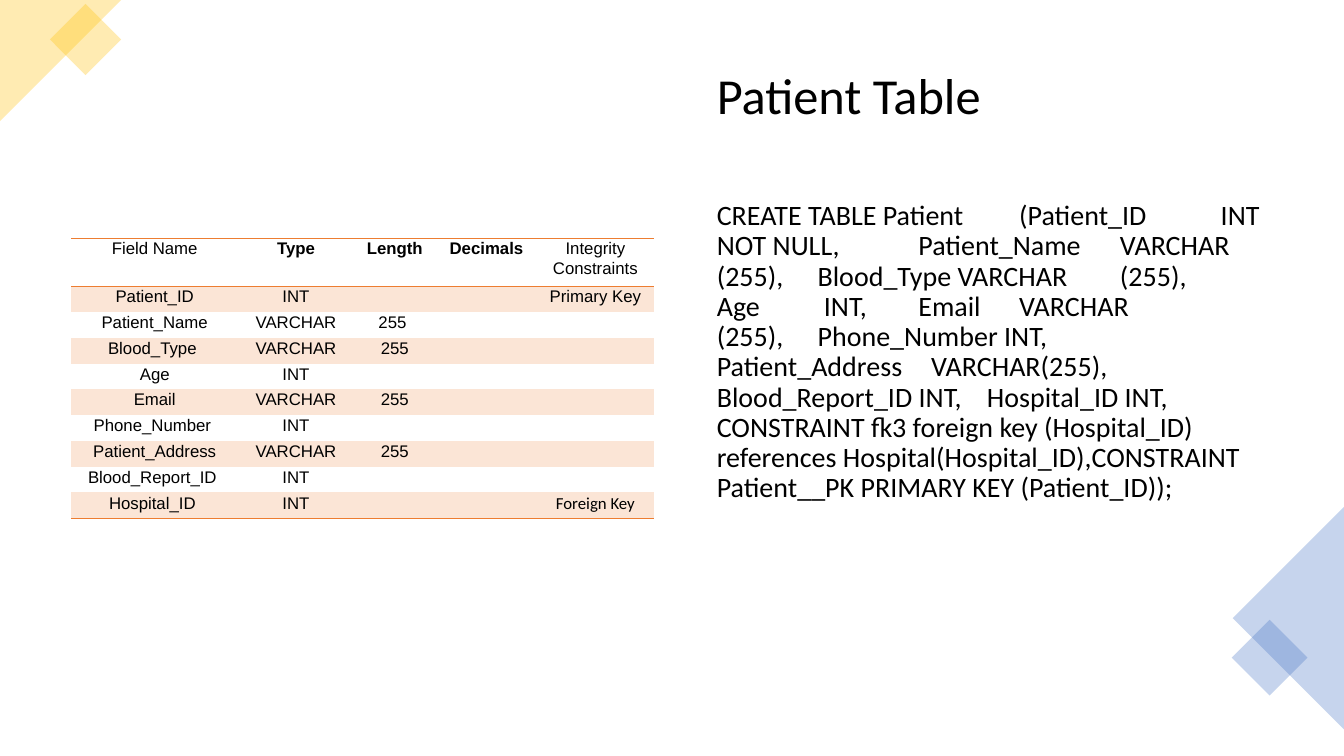
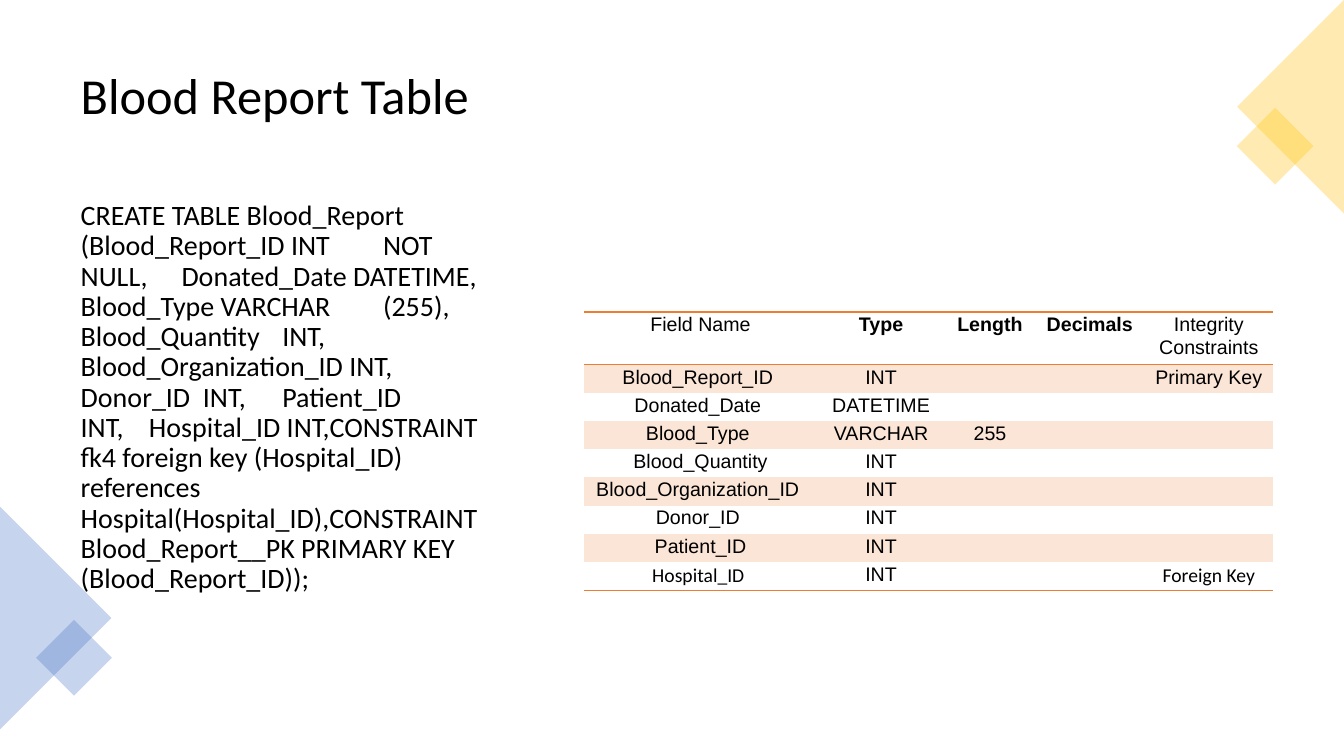
from dataclasses import dataclass

from lxml import etree
from pptx import Presentation
from pptx.dml.color import RGBColor
from pptx.enum.shapes import MSO_SHAPE
from pptx.enum.text import MSO_ANCHOR, MSO_AUTO_SIZE, PP_ALIGN
from pptx.oxml.ns import qn
from pptx.util import Cm, Pt

TRIANGLE, SQUARE = MSO_SHAPE.ISOSCELES_TRIANGLE, MSO_SHAPE.RECTANGLE
LEFT, CENTER = PP_ALIGN.LEFT, PP_ALIGN.CENTER
TOP, MIDDLE = MSO_ANCHOR.TOP, MSO_ANCHOR.MIDDLE
NO_FIT = MSO_AUTO_SIZE.NONE
NO_GRID_STYLE = "{2D5ABB26-0587-4C30-8999-92F81FD0307C}"
SLIDE_W, SLIDE_H = 33.87, 19.05
TAB_STEP = 2.54


@dataclass(frozen=True)
class Theme:
    text: str = "000000"
    yellow: str = "FFC000"
    blue: str = "4472C4"
    rule: str = "ED7D31"
    band: str = "FBE5D6"
    opacity: int = 30000
    font: str = "Calibri"
    table_font: str = "Arial"
    title_size: int = 36
    body_size: int = 20


THEME = Theme()

# Content: rows give field, type, length, decimals and constraint
HEADER = ("Field Name", "Type", "Length", "Decimals", "Integrity Constraints")
BOLD_HEADINGS = {"Type", "Length", "Decimals"}

SLIDES = [
    dict(
        title="Patient Table",
        title_box=(17.81, 0.89, 14.27, 3.15),
        sql="CREATE TABLE Patient\t(Patient_ID\tINT\tNOT NULL,\tPatient_Name\tVARCHAR\t(255),"
            "\tBlood_Type VARCHAR\t(255),\tAge\t INT,\tEmail\tVARCHAR\t(255),"
            "\tPhone_Number INT,\tPatient_Address\t  VARCHAR(255),     Blood_Report_ID INT,"
            "    Hospital_ID INT,    CONSTRAINT fk3 foreign key (Hospital_ID) references "
            "Hospital(Hospital_ID),CONSTRAINT Patient__PK PRIMARY KEY (Patient_ID));",
        sql_box=(17.81, 4.95, 14.27, 12.22),
        rows=[
            ("Patient_ID", "INT", "", "", "Primary Key"),
            ("Patient_Name", "VARCHAR", "255\u00a0", "", ""),
            ("Blood_Type ", "VARCHAR", "255", "", ""),
            ("Age", "INT", "", "", ""),
            ("Email", "VARCHAR", "255", "", ""),
            ("Phone_Number ", "INT", "", "", ""),
            ("Patient_Address", "VARCHAR", "255", "", ""),
            ("Blood_Report_ID ", "INT", "", "", ""),
            ("Hospital_ID ", "INT", "", "", "Foreign Key"),
        ],
        body_font_cells={"Foreign Key"},
        table_at=(1.79, 6),
        columns=(4.22, 2.9, 2.08, 2.54, 2.95),
        row_heights=(1.21, 0.65),
        cell_size=12,
        corner=(THEME.yellow, 3.05),
        pointers=[("right", THEME.blue, 12.77, 5.61)],
        squares=[(THEME.yellow, 1.52, 0.36, 1.27), (THEME.blue, 31.32, 15.9, 1.35)],
    ),
    dict(
        title="Blood Report Table",
        title_box=(1.78, 0.89, 30.3, 3.15),
        sql="CREATE TABLE Blood_Report\t(Blood_Report_ID INT\tNOT NULL,\tDonated_Date DATETIME,"
            "\tBlood_Type VARCHAR\t(255),\tBlood_Quantity\tINT,\tBlood_Organization_ID INT,"
            "\tDonor_ID  INT,\tPatient_ID\tINT,    Hospital_ID INT,CONSTRAINT fk4 foreign key "
            "(Hospital_ID) references Hospital(Hospital_ID),CONSTRAINT Blood_Report__PK "
            "PRIMARY KEY (Blood_Report_ID));",
        sql_box=(1.78, 4.95, 11.13, 12.07),
        rows=[
            ("Blood_Report_ID ", "INT", "", "", "Primary Key"),
            ("Donated_Date ", "DATETIME", "", "", ""),
            ("Blood_Type ", "VARCHAR", "255", "", ""),
            ("Blood_Quantity", "INT", "", "", ""),
            ("Blood_Organization_ID ", "INT", "", "", ""),
            ("Donor_ID ", "INT", "", "", ""),
            ("Patient_ID", "INT", "", "", ""),
            ("Hospital_ID ", "INT", "", "", "Foreign Key"),
        ],
        body_font_cells={"Hospital_ID ", "Foreign Key"},
        table_at=(14.72, 7.86),
        columns=(5.87, 3.23, 2.26, 2.77, 3.23),
        row_heights=(1.33, 0.71),
        cell_size=14,
        corner=None,
        pointers=[("left", THEME.blue, 12.77, 5.61), ("right", THEME.yellow, 0, 5.38)],
        squares=[(THEME.blue, 1.19, 15.9, 1.35), (THEME.yellow, 31.45, 3, 1.37)],
    ),
]


def style_runs(p, size, font, bold=False):
    for r in p.runs:
        r.font.size, r.font.name, r.font.bold = Pt(size), font, bold
        r.font.color.rgb = RGBColor.from_string(THEME.text)


def fill_placeholder(sp, box, text, size, anchor):
    sp.left, sp.top, sp.width, sp.height = map(Cm, box)
    tf = sp.text_frame
    tf.text = text
    tf.word_wrap, tf.auto_size, tf.vertical_anchor = True, NO_FIT, anchor
    p = tf.paragraphs[0]
    p.alignment, p.line_spacing, p.space_before = LEFT, 0.9, Pt(0)
    style_runs(p, size, THEME.font)
    return p


def add_sql(sp, box, text):
    p = fill_placeholder(sp, box, text, THEME.body_size, TOP)
    p.space_after = Pt(6)
    # Plain paragraph without bullet or indent
    pPr = p._p.get_or_add_pPr()
    pPr.set("marL", "0")
    pPr.set("indent", "0")
    pPr.set("defTabSz", str(Cm(TAB_STEP)))
    etree.SubElement(pPr, qn("a:buNone"))


def set_tab_step(prs):
    """Give every inherited text style the same default tab distance."""
    for root in (prs.element, prs.slide_master.element):
        for el in root.iter():
            if el.get("defTabSz"):
                el.set("defTabSz", str(Cm(TAB_STEP)))


def add_tint(s, kind, color, left, top, width, height, rotation):
    sp = s.shapes.add_shape(kind, Cm(left), Cm(top), Cm(width), Cm(height))
    sp.rotation = rotation
    sp.shadow.inherit = False
    sp.line.fill.background()
    sp.fill.solid()
    sp.fill.fore_color.rgb = RGBColor.from_string(color)
    clr = sp._element.spPr.find(qn("a:solidFill"))[0]
    etree.SubElement(clr, qn("a:alpha"), val=str(THEME.opacity))
    return sp


def add_pointer(s, side, color, top, length):
    """Triangle standing on a slide edge and pointing inwards."""
    depth = length / 2
    x = 0 if side == "left" else SLIDE_W - depth
    shift = (length - depth) / 2
    add_tint(s, TRIANGLE, color, x - shift, top + shift, length, depth,
             90 if side == "left" else 270)


def add_decor(s, data):
    if data["corner"]:
        color, size = data["corner"]
        sp = add_tint(s, TRIANGLE, color, 0, 0, size, size, 180)
        sp.adjustments[0] = 1
    for pointer in data["pointers"]:
        add_pointer(s, *pointer)
    for color, left, top, size in data["squares"]:
        add_tint(s, SQUARE, color, left, top, size, size, 45)


def add_rule(cell, tag):
    ln = etree.SubElement(cell._tc.get_or_add_tcPr(), qn(tag), w=str(Pt(1)))
    fill = etree.SubElement(ln, qn("a:solidFill"))
    etree.SubElement(fill, qn("a:srgbClr"), val=THEME.rule)


def fill_cell(cell, text, size, font, bold):
    cell.margin_left = cell.margin_right = Cm(0.2)
    cell.margin_top = cell.margin_bottom = 0
    p = cell.text_frame.paragraphs[0]
    p.text = text
    p.alignment, p.line_spacing = CENTER, 1.07
    style_runs(p, size, font, bold)
    if not text:  # keeps empty rows from growing
        etree.SubElement(p._p, qn("a:endParaRPr"), sz=str(size * 100))


def add_field_table(s, data):
    rows = [HEADER] + data["rows"]
    head_h, row_h = data["row_heights"]
    left, top = data["table_at"]
    frame = s.shapes.add_table(
        len(rows), len(HEADER), Cm(left), Cm(top), Cm(sum(data["columns"])),
        Cm(head_h + row_h * len(data["rows"])))
    table = frame.table
    table._tbl.tblPr.find(qn("a:tableStyleId")).text = NO_GRID_STYLE
    for column, width in zip(table.columns, data["columns"]):
        column.width = Cm(width)
    for i, values in enumerate(rows):
        table.rows[i].height = Cm(row_h if i else head_h)
        for j, text in enumerate(values):
            cell = table.cell(i, j)
            font = THEME.font if text in data["body_font_cells"] else THEME.table_font
            fill_cell(cell, text, data["cell_size"], font, text in BOLD_HEADINGS)
            # Rules frame the header and close the table
            if i == 0:
                add_rule(cell, "a:lnT")
            if i in (0, len(rows) - 1):
                add_rule(cell, "a:lnB")
            if i % 2:
                cell.fill.solid()
                cell.fill.fore_color.rgb = RGBColor.from_string(THEME.band)
            else:
                cell.fill.background()


def main():
    prs = Presentation()
    prs.slide_width, prs.slide_height = Cm(SLIDE_W), Cm(SLIDE_H)
    set_tab_step(prs)
    for data in SLIDES:
        s = prs.slides.add_slide(prs.slide_layouts[1])
        fill_placeholder(s.shapes.title, data["title_box"], data["title"],
                         THEME.title_size, MIDDLE)
        add_sql(s.placeholders[1], data["sql_box"], data["sql"])
        add_decor(s, data)
        add_field_table(s, data)
    prs.save("out.pptx")


if __name__ == "__main__":
    main()
